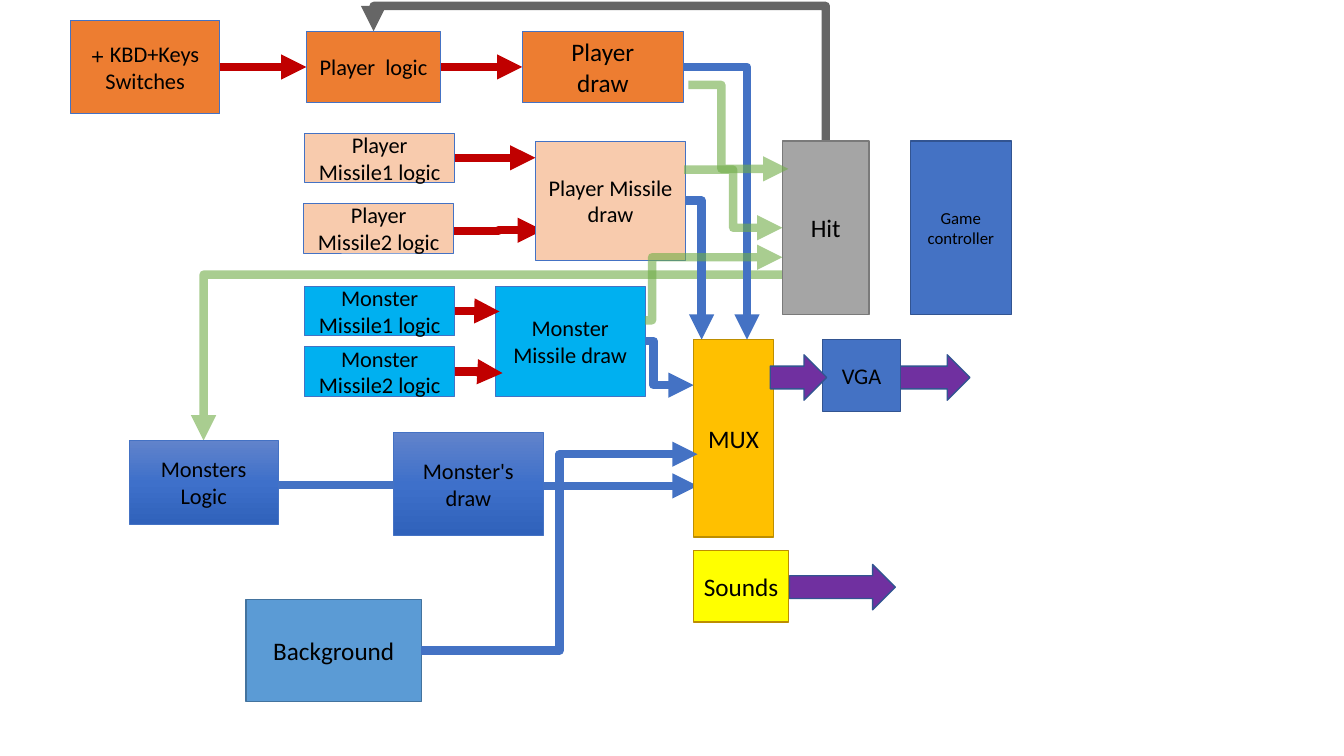
from copy import deepcopy
from dataclasses import dataclass
from pptx import Presentation
from pptx.dml.color import RGBColor
from pptx.enum.shapes import MSO_CONNECTOR as Route, MSO_SHAPE as Preset
from pptx.enum.text import MSO_ANCHOR as Anchor, PP_ALIGN as Align
from pptx.oxml.ns import qn
from pptx.util import Inches, Pt
from lxml.etree import SubElement


@dataclass(frozen=True)
class Theme:
    font: str = "Calibri"
    ink: str = "000000"
    small: int = 12
    medium: int = 16
    large: int = 18
    thin: float = 0.5
    border: float = 1
    link: float = 6
    blue: str = "4472C4"
    navy: str = "325491"
    steel: str = "5B9BD5"
    steel_edge: str = "43739E"
    cyan: str = "00B0F0"
    orange: str = "ED7D31"
    peach: str = "F8CBAD"
    gold: str = "FFC000"
    gold_edge: str = "BD8E00"
    yellow: str = "FFFF00"
    gray: str = "A5A5A5"
    gray_edge: str = "7A7A7A"
    purple: str = "7030A0"
    red: str = "C00000"
    green: str = "70AD47"
    shade: tuple = ("6183CB", "3E70CA", "3062BB")


theme = Theme()
SLIDE = (13.33, 7.5)
UNIT_W, UNIT_H, SLOT_H = 1.49, 0.71, 0.49
TOP, MIDDLE, TALL = 0.31, 1.4, 1.72
MONSTER_TOP, MUX_TOP = 2.84, 3.37
MISSILE_X, MUX_X = 3.02, 6.88
ARROW_H = 0.45

BOXES = {
    "vga": ("VGA", (8.16, MUX_TOP, 0.77, UNIT_H), theme.blue, theme.navy, theme.medium),
    "mux": ("MUX", (MUX_X, MUX_TOP, 0.79, 1.96), theme.gold, theme.gold_edge, theme.large),
    "hit": ("Hit", (7.76, MIDDLE, 0.86, TALL), theme.gray, theme.gray_edge, theme.large),
    "background": ("Background", (2.44, 5.95, 1.74, 1.01), theme.steel, theme.steel_edge, theme.large),
    "controller": ("Game controller", (9.03, MIDDLE, 1, TALL), theme.blue, theme.navy, theme.small),
    "sounds": ("Sounds", (MUX_X, 5.46, 0.94, UNIT_H), theme.yellow, theme.gold_edge, theme.large),
    "monsters": ("Monsters\nLogic", (1.28, 4.37, 1.48, 0.83), theme.shade, theme.blue, theme.medium),
    "monster draw": ("Monster's draw", (3.9, 4.29, UNIT_W, 1.02), theme.shade, theme.blue, theme.medium),
    "player": ("Player  logic", (3.04, TOP, 1.33, UNIT_H), theme.orange, theme.blue, theme.medium),
    "player draw": ("Player\ndraw", (5.18, TOP, 1.6, UNIT_H), theme.orange, theme.blue, theme.large),
    "keys": ("KBD+Keys +\nSwitches", (0.7, 0.2, 1.48, 0.93), theme.orange, theme.blue, theme.medium),
    "shot 1": ("Player Missile1 logic", (MISSILE_X, 1.32, UNIT_W, SLOT_H), theme.peach, theme.blue, theme.medium),
    "shot 2": ("Player Missile2 logic", (3.01, 2.02, UNIT_W, SLOT_H), theme.peach, theme.blue, theme.medium),
    "shot draw": ("Player Missile draw", (5.31, MIDDLE, UNIT_W, 1.18), theme.peach, theme.blue, theme.medium),
    "bomb 1": ("Monster Missile1 logic", (MISSILE_X, MONSTER_TOP, UNIT_W, SLOT_H), theme.cyan, theme.blue, theme.medium),
    "bomb 2": ("Monster Missile2 logic", (MISSILE_X, 3.44, UNIT_W, SLOT_H), theme.cyan, theme.blue, theme.medium),
    "bomb draw": ("Monster Missile draw", (4.91, MONSTER_TOP, UNIT_W, 1.09), theme.cyan, theme.blue, theme.medium),
}

CORNER = "corner"
LOOP = "loop"
LOOP_RISE = 1.23
BACK_LINKS = [
    ("monsters", (0.9, 0.53), "mux", (0.05, 0.74), theme.blue, 0.5),
    ("hit", (0, 0.77), "monsters", (0.5, 0), theme.green, CORNER),
    ("shot draw", (1, 0.5), "mux", (0.1, 0), theme.blue, CORNER),
    ("player", (1, 0.5), "player draw", (0, 0.5), theme.red, 0.5),
    ("player draw", (1, 0.5), "mux", (0.67, 0), theme.blue, CORNER),
    ("hit", (0.5, 0), "player", (0.5, 0), theme.ink, LOOP),
    ("shot 2", (1, 0.55), "shot draw", (0.05, 0.75), theme.red, 0.5),
    ("bomb draw", (1, 0.5), "mux", (0, 0.23), theme.blue, 0.17),
]
FRONT_LINKS = [
    ("keys", (1, 0.5), "player", (0, 0.5), theme.red, 0.5),
    ("background", (1, 0.5), "mux", (0.05, 0.58), theme.blue, 0.5),
    ("player draw", (1.03, 0.75), "hit", (0.07, 0.16), theme.green, 0.33),
    ("shot draw", (0.99, 0.24), "hit", (0, 0.5), theme.green, 0.5),
    ("bomb draw", (1, 0.31), "hit", (0, 0.67), theme.green, 0.05),
    ("shot 1", (1, 0.5), "shot draw", (0, 0.14), theme.red, 0.5),
    ("bomb 1", (1, 0.5), "bomb draw", (0.03, 0.23), theme.red, 0.5),
    ("bomb 2", (1, 0.5), "bomb draw", (0.05, 0.79), theme.red, 0.5),
]
EXIT_ARROWS = [(8.48, 3.52, 1.14), (7.83, 5.6, 1.05)]
MUX_ARROW = (7.64, 3.52, 0.56)


def paint(shape, fill, edge, width):
    shape.shadow.inherit = False
    if isinstance(fill, tuple):
        shape.fill.gradient()
        shape.fill.gradient_angle = 270
        first = shape.fill.gradient_stops[0]._gs
        first.addnext(deepcopy(first))
        for index, stop in enumerate(shape.fill.gradient_stops):
            stop.position = index / (len(fill) - 1)
            stop.color.rgb = RGBColor.from_string(fill[index])
    else:
        shape.fill.solid()
        shape.fill.fore_color.rgb = RGBColor.from_string(fill)
    shape.line.color.rgb = RGBColor.from_string(edge)
    shape.line.width = Pt(width)


def add_box(page, text, place, fill, edge, size):
    box = page.shapes.add_shape(Preset.RECTANGLE, *map(Inches, place))
    paint(box, fill, edge, theme.thin if edge == theme.blue else theme.border)
    frame = box.text_frame
    frame.word_wrap = True
    frame.vertical_anchor = Anchor.MIDDLE
    frame.text = text
    for para in frame.paragraphs:
        para.alignment = Align.CENTER
        para._p.get_or_add_pPr().set("rtl", "1")
        for span in para.runs:
            span.font.name = theme.font
            span.font.size = Pt(size)
            span.font.color.rgb = RGBColor.from_string(theme.ink)


def add_arrow(page, left, top, width):
    place = map(Inches, (left, top, width, ARROW_H))
    arrow = page.shapes.add_shape(Preset.RIGHT_ARROW, *place)
    paint(arrow, theme.purple, theme.navy, theme.border)


def port(name, share):
    left, top, width, height = BOXES[name][1]
    return left + share[0] * width, top + share[1] * height


def add_link(page, source, leave, target, enter, color, bend):
    (x1, y1), (x2, y2) = port(source, leave), port(target, enter)
    if bend == LOOP:
        mid_x, mid_y = (x1 + x2) / 2, (y1 + y2) / 2
        half_w, half_h = (y1 - y2) / 2, (x1 - x2) / 2
        x1, y1, x2, y2 = mid_x - half_w, mid_y + half_h, mid_x + half_w, mid_y - half_h
    link = page.shapes.add_connector(Route.ELBOW, *map(Inches, (x1, y1, x2, y2)))
    link.line.width = Pt(theme.link)
    link.line.color.rgb = RGBColor.from_string(color)
    properties = link._element.spPr
    geometry = properties.find(qn("a:prstGeom"))
    if bend == CORNER:
        geometry.set("prst", "bentConnector2")
    else:
        if bend == LOOP:
            properties.find(qn("a:xfrm")).set("rot", str(270 * 60000))
            bend = LOOP_RISE
        guides = geometry.find(qn("a:avLst"))
        if guides is None:
            guides = SubElement(geometry, qn("a:avLst"))
        SubElement(guides, qn("a:gd"), name="adj1", fmla=f"val {round(bend * 100000)}")
    outline = link.get_or_add_ln()
    if color in (theme.green, theme.ink):
        SubElement(outline.find(".//" + qn("a:srgbClr")), qn("a:alpha"), val="60000")
    SubElement(outline, qn("a:tailEnd"), type="triangle")
    SubElement(properties, qn("a:effectLst"))


def main():
    deck = Presentation()
    deck.slide_width, deck.slide_height = map(Inches, SLIDE)
    page = deck.slides.add_slide(deck.slide_layouts[6])
    for link in BACK_LINKS:
        add_link(page, *link)
    for arrow in EXIT_ARROWS:
        add_arrow(page, *arrow)
    for box in BOXES.values():
        add_box(page, *box)
    add_arrow(page, *MUX_ARROW)
    for link in FRONT_LINKS:
        add_link(page, *link)
    deck.save("out.pptx")


if __name__ == "__main__":
    main()
